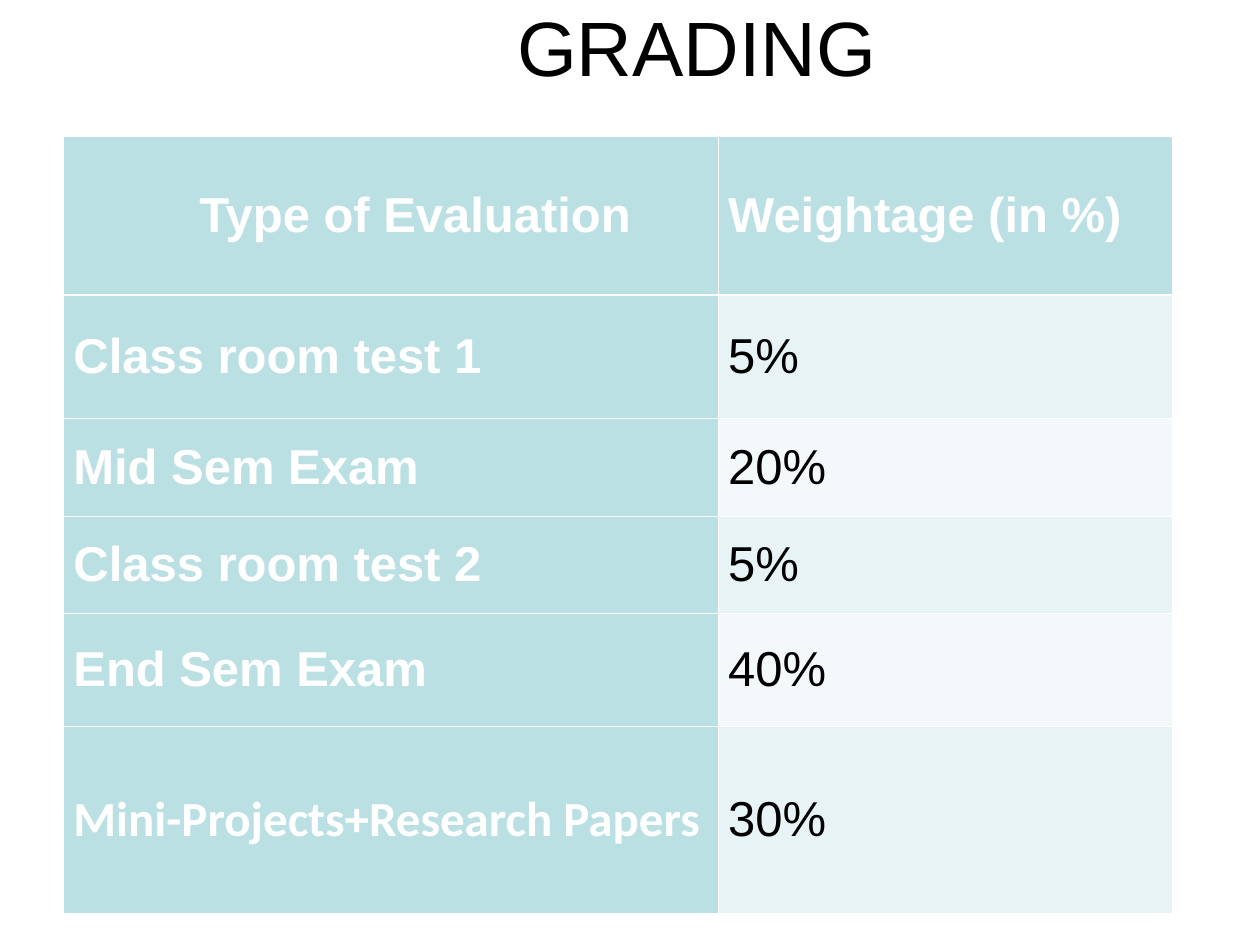
import pptx
import pptx.dml.color
import pptx.enum.text
import pptx.oxml.ns
import pptx.util
from lxml import etree

Cm = pptx.util.Cm
Pt = pptx.util.Pt
MIDDLE = pptx.enum.text.MSO_ANCHOR.MIDDLE
CENTER = pptx.enum.text.PP_ALIGN.CENTER
LEFT = pptx.enum.text.PP_ALIGN.LEFT

COLORS = {
    "text": "000000",
    "white": "FFFFFF",
    "head": "BBE0E3",
    "band_dark": "E7F3F4",
    "band_light": "F3F9FA",
}

GRADES = [
    ("Type of Evaluation", "Weightage (in %)"),
    ("Class room test 1", "5%"),
    ("Mid Sem Exam", "20%"),
    ("Class room test 2", "5%"),
    ("End Sem Exam", "40%"),
    ("Mini-Projects+Research Papers", "30%"),
]
COL_WIDTHS = [13.2, 9.15]
ROW_HEIGHTS = [3.2, 2.49, 1.96, 1.96, 2.28, 3.78]
THIN, THICK = 0.45, 1.47


def rgb(name):
    return pptx.dml.color.RGBColor.from_string(COLORS[name])


def write(tf, text, size=28, font="Arial", color="text", bold=False,
          align=LEFT, indent=0):
    p = tf.paragraphs[0]
    p.alignment = align
    if indent:
        pPr = p._p.get_or_add_pPr()
        pPr.set("marL", str(Cm(indent)))
        pPr.set("indent", "0")
    r = p.add_run()
    r.text = text
    r.font.size = Pt(size)
    r.font.name = font
    r.font.bold = bold
    r.font.color.rgb = rgb(color)


def set_borders(cell, top, bottom):
    """Draw white cell borders; top and bottom are widths in points."""
    tcPr = cell._tc.get_or_add_tcPr()
    qn = pptx.oxml.ns.qn
    sides = [("lnL", THIN), ("lnR", THIN), ("lnT", top), ("lnB", bottom)]
    for i, (tag, width) in enumerate(sides):
        ln = etree.Element(qn("a:" + tag), w=str(Pt(width)))
        fill = etree.SubElement(ln, qn("a:solidFill"))
        etree.SubElement(fill, qn("a:srgbClr"), val=COLORS["white"])
        tcPr.insert(i, ln)


def add_title(slide, left, top, width, height):
    sp = slide.shapes.add_textbox(Cm(left), Cm(top), Cm(width), Cm(height))
    tf = sp.text_frame
    tf.word_wrap = True
    tf.margin_top = tf.margin_bottom = 0
    write(tf, "GRADING", size=44, align=CENTER)


def add_grades(slide, left, top):
    table = slide.shapes.add_table(
        len(GRADES), len(COL_WIDTHS), Cm(left), Cm(top),
        Cm(sum(COL_WIDTHS)), Cm(sum(ROW_HEIGHTS))).table
    table.first_col = True
    for col, width in zip(table.columns, COL_WIDTHS):
        col.width = Cm(width)
    for row, height in zip(table.rows, ROW_HEIGHTS):
        row.height = Cm(height)

    for i, texts in enumerate(GRADES):
        for j, text in enumerate(texts):
            cell = table.cell(i, j)
            is_head = i == 0 or j == 0
            band = "band_dark" if i % 2 else "band_light"
            cell.fill.solid()
            cell.fill.fore_color.rgb = rgb("head" if is_head else band)
            cell.vertical_anchor = MIDDLE
            cell.margin_left = cell.margin_right = Cm(0.2)
            cell.margin_top = cell.margin_bottom = Cm(0.13)
            set_borders(cell, THICK if i == 1 else THIN,
                        THICK if i == 0 else THIN)
            write(cell.text_frame, text, bold=is_head,
                  font="Calibri" if text.startswith("Mini") else "Arial",
                  color="white" if is_head else "text",
                  indent=2.54 if i == j == 0 else 0)


def main():
    prs = pptx.Presentation()
    prs.slide_width, prs.slide_height = Cm(25.4), Cm(19.05)
    slide = prs.slides.add_slide(prs.slide_layouts[6])
    add_title(slide, 3.25, 0, 21.6, 1.63)
    add_grades(slide, 1.28, 2.75)
    prs.save("out.pptx")


if __name__ == "__main__":
    main()
